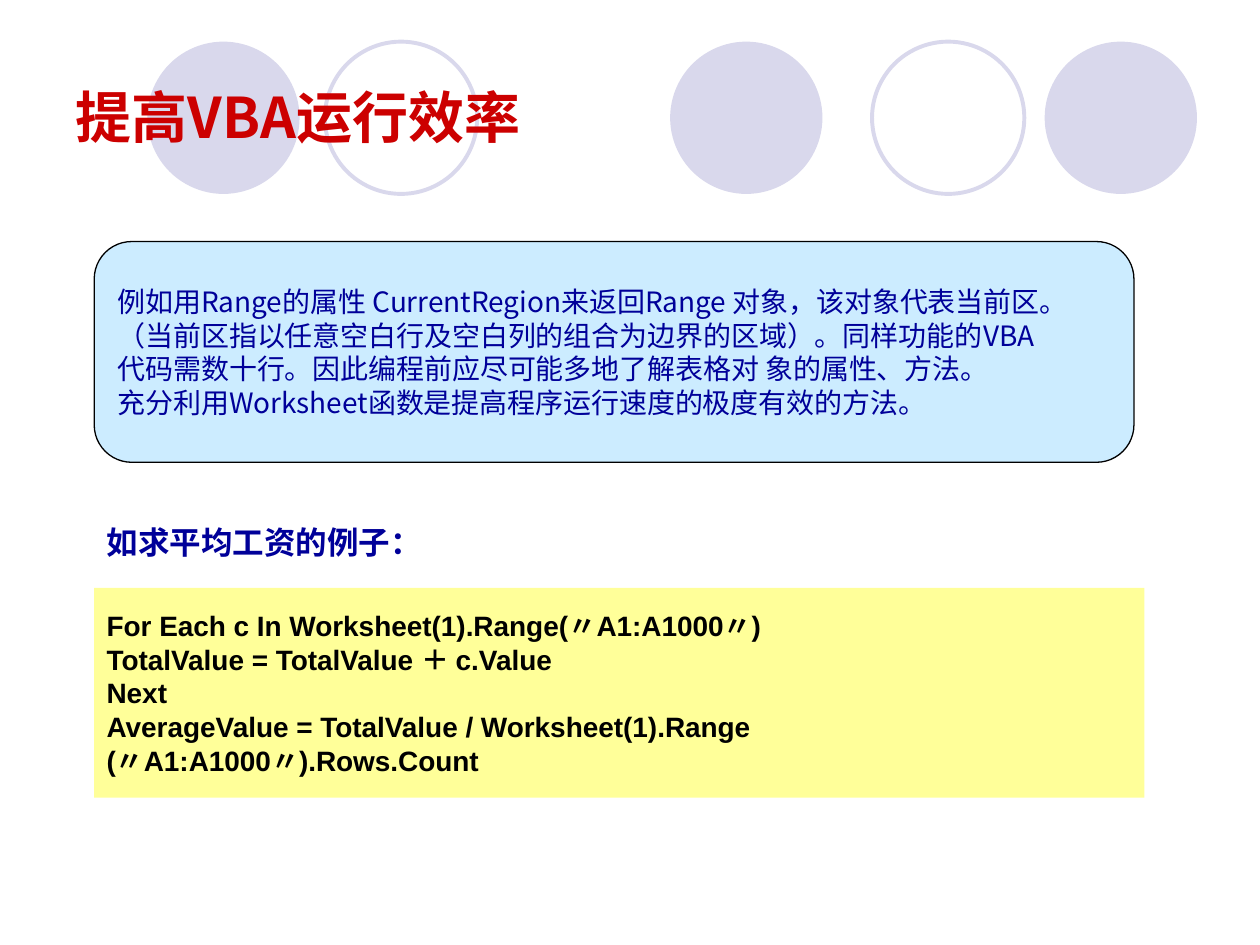
import pptx
import pptx.util
import pptx.dml.color
import pptx.enum.shapes
import pptx.enum.text
import pptx.oxml
import pptx.oxml.ns

Cm = pptx.util.Cm
Pt = pptx.util.Pt
RGBColor = pptx.dml.color.RGBColor
SHAPE = pptx.enum.shapes.MSO_SHAPE
ANCHOR = pptx.enum.text.MSO_ANCHOR

LAVENDER = RGBColor(0xD9, 0xD8, 0xEC)
RED = RGBColor(0xCC, 0x00, 0x00)
NAVY = RGBColor(0x00, 0x00, 0x99)
BLACK = RGBColor(0x00, 0x00, 0x00)
SKY = RGBColor(0xCC, 0xEC, 0xFF)
YELLOW = RGBColor(0xFF, 0xFF, 0x99)
SANS = "Noto Sans CJK SC"
LATIN = "Arial"

# Content
TITLE = ["提高VBA运行效率"]
EXPLANATION = [
    "例如用Range的属性 CurrentRegion来返回Range 对象，该对象代表当前区。",
    "（当前区指以任意空白行及空白列的组合为边界的区域）。同样功能的VBA",
    "代码需数十行。因此编程前应尽可能多地了解表格对 象的属性、方法。",
    "充分利用Worksheet函数是提高程序运行速度的极度有效的方法。",
]
EXAMPLE_LABEL = ["如求平均工资的例子："]
CODE = [
    "For Each c In Worksheet(1).Range(〃A1:A1000〃)",
    "TotalValue = TotalValue ＋ c.Value",
    "Next",
    "AverageValue = TotalValue / Worksheet(1).Range",
    "(〃A1:A1000〃).Rows.Count",
]

# Decorative circles: left edge in cm, filled or outlined
CIRCLES = [(13.51, True), (21.06, True), (2.97, True), (17.58, False), (6.55, False)]
CIRCLE_TOP, CIRCLE_SIZE = 0.84, 3.07
CONTENT_LEFT = 1.9


def add_box(slide, kind, left, top, width, height, fill=None, line=None, line_width=0.75):
    shape = slide.shapes.add_shape(kind, Cm(left), Cm(top), Cm(width), Cm(height))
    shape.shadow.inherit = False
    if fill is None:
        shape.fill.background()
    else:
        shape.fill.solid()
        shape.fill.fore_color.rgb = fill
    if line is None:
        shape.line.fill.background()
    else:
        shape.line.color.rgb = line
        shape.line.width = Pt(line_width)
    return shape


def add_text(slide, left, top, width, height):
    return slide.shapes.add_textbox(Cm(left), Cm(top), Cm(width), Cm(height))


def write_lines(shape, lines, size, font, color, bold=False, wrap=True, anchor=ANCHOR.MIDDLE):
    frame = shape.text_frame
    frame.word_wrap = wrap
    frame.vertical_anchor = anchor
    frame.text = "\n".join(lines)
    for paragraph in frame.paragraphs:
        paragraph.alignment = pptx.enum.text.PP_ALIGN.LEFT
        paragraph.font.size = Pt(size)
        paragraph.font.name = font
        paragraph.font.bold = bold
        paragraph.font.color.rgb = color
        # Chinese characters take their font from a:ea
        properties = paragraph._p.pPr.find(pptx.oxml.ns.qn("a:defRPr"))
        properties.append(pptx.oxml.parse_xml(
            f'<a:ea {pptx.oxml.ns.nsdecls("a")} typeface="{SANS}"/>'))


presentation = pptx.Presentation()
presentation.slide_width = Cm(25.4)
presentation.slide_height = Cm(19.05)
slide = presentation.slides.add_slide(presentation.slide_layouts[6])

# Circles behind the title
for left, filled in CIRCLES:
    add_box(slide, SHAPE.OVAL, left, CIRCLE_TOP, CIRCLE_SIZE, CIRCLE_SIZE,
            fill=LAVENDER if filled else None,
            line=None if filled else LAVENDER, line_width=2.25)

# Title
title = add_text(slide, 1.27, 0.76, 22.86, 3.18)
write_lines(title, TITLE, 32, SANS, RED, bold=True)

# Code panel and its label
code_panel = add_box(slide, SHAPE.RECTANGLE, CONTENT_LEFT, 11.85, 21.17, 4.23, YELLOW)
write_lines(code_panel, CODE, 16, LATIN, BLACK, bold=True, wrap=False)

label = add_text(slide, CONTENT_LEFT, 10.41, 8.47, 1.02)
write_lines(label, EXAMPLE_LABEL, 18, LATIN, NAVY, bold=True, anchor=ANCHOR.TOP)

# Explanation panel
panel = add_box(slide, SHAPE.ROUNDED_RECTANGLE, CONTENT_LEFT, 4.87, 20.96, 4.45, SKY, BLACK)
panel.adjustments[0] = 0.17
write_lines(panel, EXPLANATION, 16, SANS, NAVY, wrap=False)

presentation.save("out.pptx")
